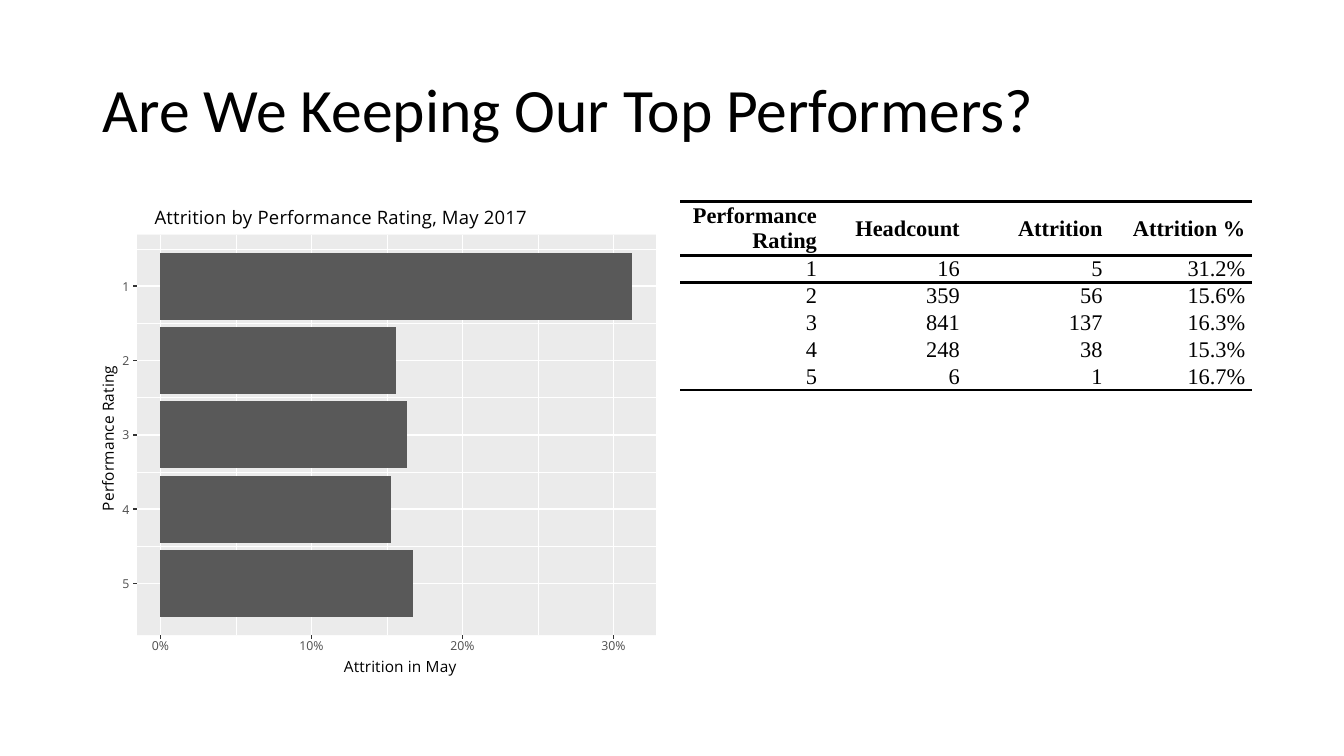
"""Build a slide showing attrition by performance rating as a bar chart and a table."""
import pptx
import pptx.chart.data
import pptx.dml.color
import pptx.enum.chart
import pptx.enum.shapes
import pptx.enum.text
import pptx.oxml
import pptx.oxml.ns
import pptx.util

Pt = pptx.util.Pt
qn = pptx.oxml.ns.qn
ALIGN = pptx.enum.text.PP_ALIGN
MIDDLE = pptx.enum.text.MSO_ANCHOR.MIDDLE
NONE = pptx.enum.chart.XL_TICK_MARK.NONE

HEADLINE = "Are We Keeping Our Top Performers?"
CHART_TITLE = "Attrition by Performance Rating, May 2017"
VALUE_TITLE = "Attrition in May"
RATING_TITLE = "Performance Rating"
HEADER = ("Performance Rating", "Headcount", "Attrition", "Attrition %")
RATINGS = [
    ("1", "16", "5", "31.2%"),
    ("2", "359", "56", "15.6%"),
    ("3", "841", "137", "16.3%"),
    ("4", "248", "38", "15.3%"),
    ("5", "6", "1", "16.7%"),
]
PERCENTS = (0, 10, 20, 30)
COLORS = {"text": "000000", "panel": "EBEBEB", "grid": "FFFFFF",
          "bar": "595959", "label": "4D4D4D", "tick": "333333"}
CHART_FONT = "Open Sans"
NS = 'xmlns:{0}="http://schemas.openxmlformats.org/drawingml/2006/{1}"'
NS_A, NS_C = NS.format("a", "main"), NS.format("c", "chart")

FRAME = (60, 136, 414, 352)
LEFT, TOP, RIGHT, BOTTOM = 98, 167.6, 468.6, 453.6
ZERO, PER_PERCENT = 114.6, 10.79
FIRST_ROW, ROW_STEP = 204.4, 53.1
TICK = 2.8


def rgb(name):
    return pptx.dml.color.RGBColor.from_string(COLORS[name])


def style(font, size, name=CHART_FONT, color="text", bold=False):
    font.size, font.name, font.bold = Pt(size), name, bold
    font.color.rgb = rgb(color)


def line(x1, y1, x2, y2, color, width):
    rule = slide.shapes.add_connector(
        pptx.enum.shapes.MSO_CONNECTOR.STRAIGHT, Pt(x1), Pt(y1), Pt(x2), Pt(y2))
    rule.line.color.rgb = rgb(color)
    rule.line.width = Pt(width)
    rule._element.spPr.append(pptx.oxml.parse_xml(f"<a:effectLst {NS_A}/>"))


def axis_label(text, x, y, width=30, height=12):
    box = slide.shapes.add_textbox(
        Pt(x - width / 2), Pt(y - height / 2), Pt(width), Pt(height))
    frame = box.text_frame
    frame.margin_left = frame.margin_right = frame.margin_top = frame.margin_bottom = 0
    frame.vertical_anchor = MIDDLE
    frame.word_wrap = True
    paragraph = frame.paragraphs[0]
    paragraph.alignment = ALIGN.CENTER
    run = paragraph.add_run()
    run.text = text
    style(run.font, 8.8, color="label")


def place(part, index, x, y, size=None):
    for old in part.findall(qn("c:layout")):
        part.remove(old)
    values = [("xMode", "edge"), ("yMode", "edge"),
              ("x", (x - FRAME[0]) / FRAME[2]), ("y", (y - FRAME[1]) / FRAME[3])]
    if size:
        values = [("layoutTarget", "inner")] + values
        values += [("w", size[0] / FRAME[2]), ("h", size[1] / FRAME[3])]
    body = "".join(f'<c:{tag} val="{value}"/>' for tag, value in values)
    part.insert(index, pptx.oxml.parse_xml(
        f"<c:layout {NS_C}><c:manualLayout>{body}</c:manualLayout></c:layout>"))


def add_title(title, text, size, x, y):
    run = title.text_frame.paragraphs[0].add_run()
    run.text = text
    style(run.font, size)
    place(title._element, 1, x, y)


deck = pptx.Presentation()
deck.slide_width, deck.slide_height = Pt(960), Pt(540)
slide = deck.slides.add_slide(deck.slide_layouts[5])

headline = slide.shapes.title
headline.left, headline.top, headline.width, headline.height = map(Pt, (66.2, 28, 828, 104.4))
headline.text_frame.vertical_anchor = MIDDLE
headline.text_frame.word_wrap = True
paragraph = headline.text_frame.paragraphs[0]
paragraph.alignment, paragraph.line_spacing = ALIGN.LEFT, 0.9
run = paragraph.add_run()
run.text = HEADLINE
style(run.font, 44, "Calibri")

panel = slide.shapes.add_shape(
    pptx.enum.shapes.MSO_SHAPE.RECTANGLE, Pt(LEFT), Pt(TOP), Pt(RIGHT - LEFT), Pt(BOTTOM - TOP))
panel.shadow.inherit = False
panel.fill.solid()
panel.fill.fore_color.rgb = rgb("panel")
panel.line.fill.background()

row_centers = [FIRST_ROW + i * ROW_STEP for i in range(len(RATINGS))]
percent_places = [ZERO + percent * PER_PERCENT for percent in PERCENTS]
for y in row_centers:
    line(LEFT, y - ROW_STEP / 2, RIGHT, y - ROW_STEP / 2, "grid", 0.53)
    line(LEFT, y, RIGHT, y, "grid", 1.07)
    line(LEFT - TICK, y, LEFT, y, "tick", 1.07)
for x in percent_places:
    line(x, TOP, x, BOTTOM, "grid", 1.07)
    line(x, BOTTOM, x, BOTTOM + TICK, "tick", 1.07)
for x in percent_places[:-1]:
    line(x + 5 * PER_PERCENT, TOP, x + 5 * PER_PERCENT, BOTTOM, "grid", 0.53)

data = pptx.chart.data.CategoryChartData(number_format="0.0%")
data.categories = [row[0] for row in RATINGS]
data.add_series("Attrition %", [round(float(row[3].rstrip("%")) / 100, 3) for row in RATINGS])
chart = slide.shapes.add_chart(
    pptx.enum.chart.XL_CHART_TYPE.BAR_CLUSTERED, *map(Pt, FRAME), data).chart
chart.has_legend = False
style(chart.font, 8.8, color="label")
bars = chart.plots[0]
bars.gap_width, bars.vary_by_categories = 11, False
bars.series[0].format.fill.solid()
bars.series[0].format.fill.fore_color.rgb = rgb("bar")

for axis in (chart.category_axis, chart.value_axis):
    axis.has_major_gridlines = False
    axis.major_tick_mark = axis.minor_tick_mark = NONE
    axis.tick_label_position = pptx.enum.chart.XL_TICK_LABEL_POSITION.NONE
    axis.format.line.fill.background()
chart.category_axis.reverse_order = True
chart.value_axis.minimum_scale = 0
chart.value_axis.maximum_scale = round((RIGHT - ZERO) / PER_PERCENT / 100, 4)
chart.value_axis.major_unit = 0.1

chart.has_title = True
add_title(chart.chart_title, CHART_TITLE, 13.2, 108, 142.4)
add_title(chart.value_axis.axis_title, VALUE_TITLE, 11, 243.6, 465.2)
rating_title = chart.category_axis.axis_title
add_title(rating_title, RATING_TITLE, 11, 66, 259)
rating_title.text_frame._txBody.bodyPr.set("rot", "-5400000")

space = chart._chartSpace
plot_area = space.chart.plotArea
place(plot_area, 0, ZERO, FIRST_ROW - ROW_STEP / 2,
      (RIGHT - ZERO, ROW_STEP * len(RATINGS)))
clear = f"<c:spPr {NS_C} {NS_A}><a:noFill/><a:ln><a:noFill/></a:ln></c:spPr>"
plot_area.append(pptx.oxml.parse_xml(clear))
space.chart.addnext(pptx.oxml.parse_xml(clear))

for row, y in zip(RATINGS, row_centers):
    axis_label(row[0], 89.9, y, width=10)
for percent, x in zip(PERCENTS, percent_places):
    axis_label(f"{percent}%", x, 461.2)

rows = [HEADER] + RATINGS
table = slide.shapes.add_table(
    len(rows), len(HEADER), Pt(486), Pt(144), Pt(408), Pt(124.5)).table
table.first_row = table.horz_banding = False
table._tbl.tblPr.find(qn("a:tableStyleId")).text = "{2D5ABB26-0587-4C30-8999-92F81FD0307C}"
for column in table.columns:
    column.width = Pt(102)
for i, row in enumerate(rows):
    table.rows[i].height = Pt(35.5 if i == 0 else 17.8)
    edges = {0: ("lnT", "lnB"), 1: ("lnT",), len(rows) - 1: ("lnB",)}.get(i, ())
    for j, text in enumerate(row):
        cell = table.cell(i, j)
        cell.margin_left = cell.margin_top = cell.margin_bottom = 0
        cell.margin_right = Pt(4.5)
        cell.vertical_anchor = MIDDLE
        cell.fill.background()
        for k, edge in enumerate(edges):
            cell._tc.tcPr.insert(k, pptx.oxml.parse_xml(
                f'<a:{edge} {NS_A} w="{Pt(2)}"><a:solidFill><a:srgbClr val="{COLORS["text"]}"/>'
                f"</a:solidFill></a:{edge}>"))
        paragraph = cell.text_frame.paragraphs[0]
        paragraph.alignment = ALIGN.RIGHT
        paragraph.space_before = paragraph.space_after = Pt(1)
        run = paragraph.add_run()
        run.text = text
        style(run.font, 16, "Times New Roman", bold=i == 0)

deck.save("out.pptx")
